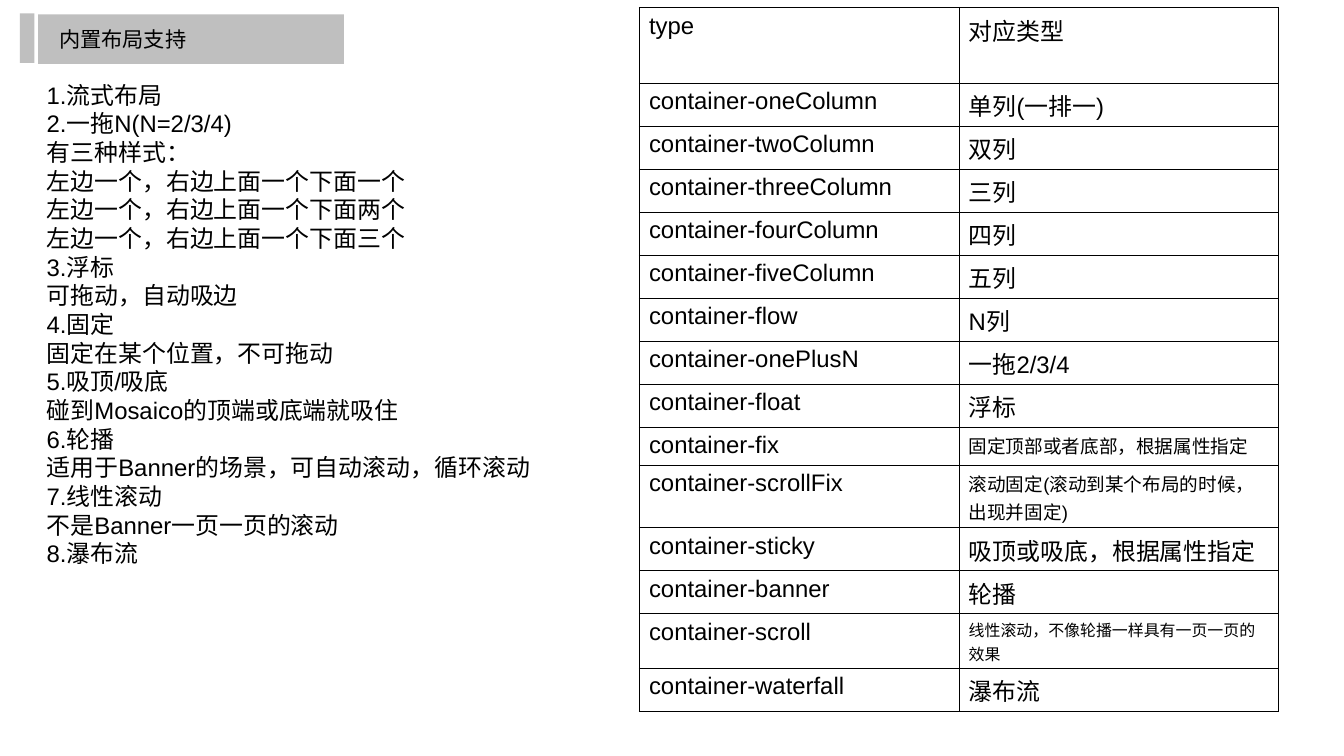
from dataclasses import dataclass

from lxml import etree
from pptx import Presentation
from pptx import util as u
from pptx.dml.color import RGBColor
from pptx.enum import shapes, text
from pptx.oxml import ns


@dataclass(frozen=True)
class Theme:
    ink: str = "000000"
    bar: str = "BFBFBF"
    latin: str = "Arial"
    cjk: str = "Noto Sans CJK SC"
    title: int = 16
    body: int = 18
    note: int = 14
    small: int = 12
    border: float = 1


THEME = Theme()

LAYOUTS = [
    "1.流式布局",
    "2.一拖N(N=2/3/4)",
    "有三种样式：",
    "左边一个，右边上面一个下面一个",
    "左边一个，右边上面一个下面两个",
    "左边一个，右边上面一个下面三个",
    "3.浮标",
    "可拖动，自动吸边",
    "4.固定",
    "固定在某个位置，不可拖动",
    "5.吸顶/吸底",
    "碰到Mosaico的顶端或底端就吸住",
    "6.轮播",
    "适用于Banner的场景，可自动滚动，循环滚动",
    "7.线性滚动",
    "不是Banner一页一页的滚动",
    "8.瀑布流",
]

# Type, meaning, row height in grid rows, size of the meaning
ROW = 5.69
TYPES = [
    ("type", "对应类型", 10.0, THEME.body),
    ("container-oneColumn", "单列(一排一)", ROW, THEME.body),
    ("container-twoColumn", "双列", ROW, THEME.body),
    ("container-threeColumn", "三列", ROW, THEME.body),
    ("container-fourColumn", "四列", ROW, THEME.body),
    ("container-fiveColumn", "五列", ROW, THEME.body),
    ("container-flow", "N列", ROW, THEME.body),
    ("container-onePlusN", "一拖2/3/4", ROW, THEME.body),
    ("container-float", "浮标", ROW, THEME.body),
    ("container-fix", "固定顶部或者底部，根据属性指定", 5.06, THEME.note),
    ("container-scrollFix", "滚动固定(滚动到某个布局的时候，出现并固定)", 8.22, THEME.note),
    ("container-sticky", "吸顶或吸底，根据属性指定", ROW, THEME.body),
    ("container-banner", "轮播", ROW, THEME.body),
    ("container-scroll", "线性滚动，不像轮播一样具有一页一页的效果", 7.21, THEME.small),
    ("container-waterfall", "瀑布流", ROW, THEME.body),
]


def write(frame, lines, size=THEME.body, latin=THEME.latin, cjk=THEME.cjk, spacing=None):
    """Fill a text frame with one paragraph per line."""
    for index, line in enumerate(lines):
        para = frame.add_paragraph() if index else frame.paragraphs[0]
        if spacing:
            para.line_spacing = spacing
        span = para.add_run()
        span.text = line
        span.font.size = u.Pt(size)
        span.font.color.rgb = RGBColor.from_string(THEME.ink)
        span.font.name = latin
        properties = span._r.get_or_add_rPr()
        etree.SubElement(properties, ns.qn("a:ea"), typeface=cjk)


class Page:
    """One slide on a grid of 100 columns by 100 rows."""

    def __init__(self, deck, theme):
        self.theme = theme
        self.column = deck.slide_width / 100
        self.row = deck.slide_height / 100
        self.slide = deck.slides.add_slide(deck.slide_layouts[6])

    def place(self, left, top, width, height):
        return (round(left * self.column), round(top * self.row),
                round(width * self.column), round(height * self.row))

    def bar(self, *area):
        bar = self.slide.shapes.add_shape(
            shapes.MSO_SHAPE.RECTANGLE, *self.place(*area))
        bar.shadow.inherit = False
        bar.fill.solid()
        bar.fill.fore_color.rgb = RGBColor.from_string(self.theme.bar)
        bar.line.fill.background()

    def text(self, lines, area, inset=(0.1, 0.05), **style):
        box = self.slide.shapes.add_textbox(*self.place(*area))
        frame = box.text_frame
        frame.word_wrap = True
        frame.vertical_anchor = text.MSO_ANCHOR.TOP
        frame.margin_left = frame.margin_right = u.Inches(inset[0])
        frame.margin_top = frame.margin_bottom = u.Inches(inset[1])
        write(frame, lines, **style)

    def table(self, rows, left, top, width):
        height = sum(row[2] for row in rows)
        grid = self.slide.shapes.add_table(
            len(rows), 2, *self.place(left, top, width, height)).table
        grid.first_row = grid.horz_banding = False
        for line, (kind, meaning, tall, size) in zip(grid.rows, rows):
            line.height = round(tall * self.row)
            kind_cell, meaning_cell = line.cells
            self.cell(kind_cell, kind, self.theme.body)
            self.cell(meaning_cell, meaning, size)

    def cell(self, cell, words, size):
        cell.fill.background()
        write(cell.text_frame, [words], size=size)
        properties = cell._tc.get_or_add_tcPr()
        for index, side in enumerate(("lnL", "lnR", "lnT", "lnB")):
            edge = etree.Element(ns.qn(f"a:{side}"), w=str(u.Pt(self.theme.border)))
            fill = etree.SubElement(edge, ns.qn("a:solidFill"))
            etree.SubElement(fill, ns.qn("a:srgbClr"), val=self.theme.ink)
            properties.insert(index, edge)


def main():
    deck = Presentation()
    deck.slide_width = u.Inches(14.06)
    deck.slide_height = u.Inches(7.91)
    page = Page(deck, THEME)

    # Heading
    page.bar(2.84, 1.9, 22.76, 6.57)
    page.bar(1.49, 1.77, 1.07, 6.57)
    page.text(["内置布局支持"], (3.84, 2.28, 22.12, 4.3), inset=(0.08, 0.04),
              size=THEME.title, latin=THEME.cjk, spacing=1.2)

    # List of layouts
    page.text(LAYOUTS, (2.77, 10, 87.34, 84.58), cjk=THEME.latin,
              spacing=u.Pt(21.6))

    # Table of container types
    page.table(TYPES, 47.58, 1, 47.58)

    deck.save("out.pptx")


if __name__ == "__main__":
    main()
